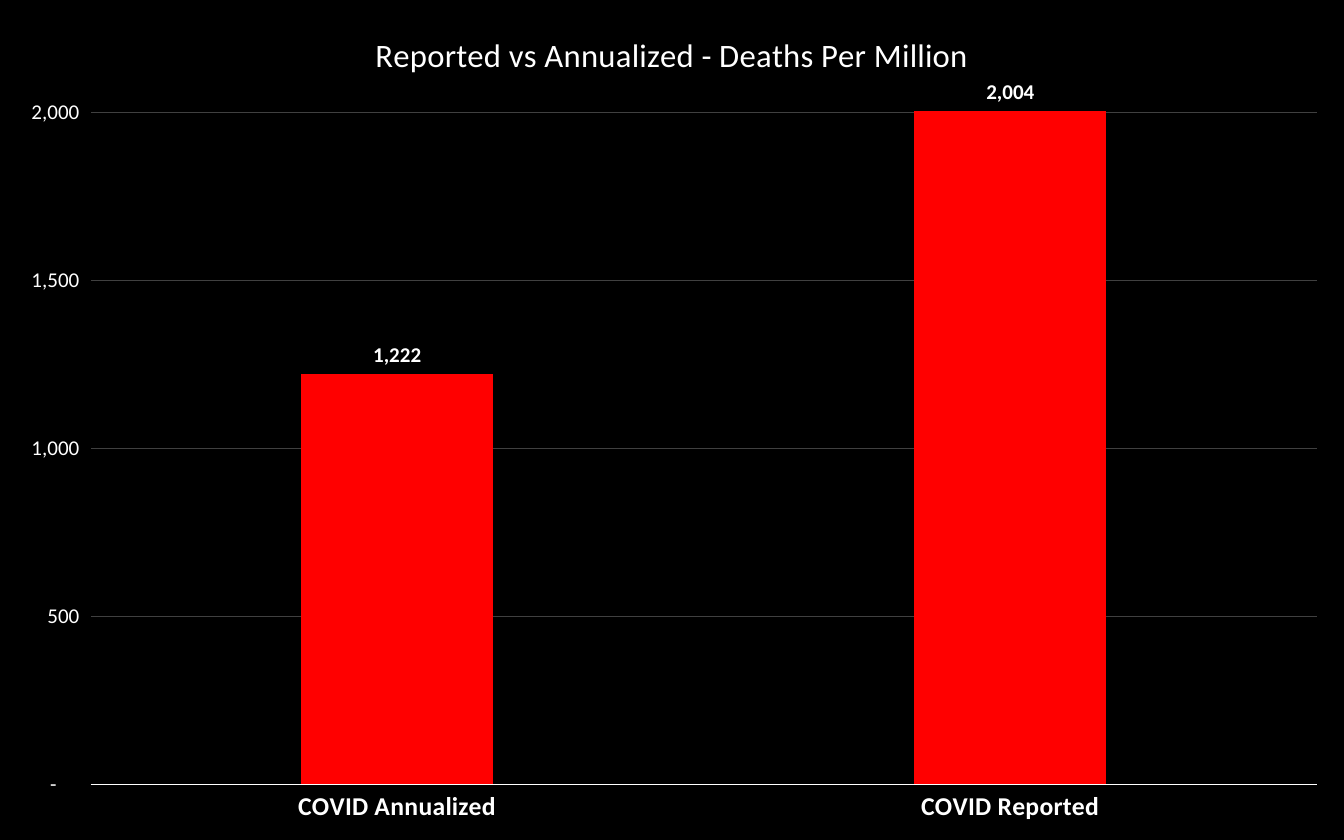
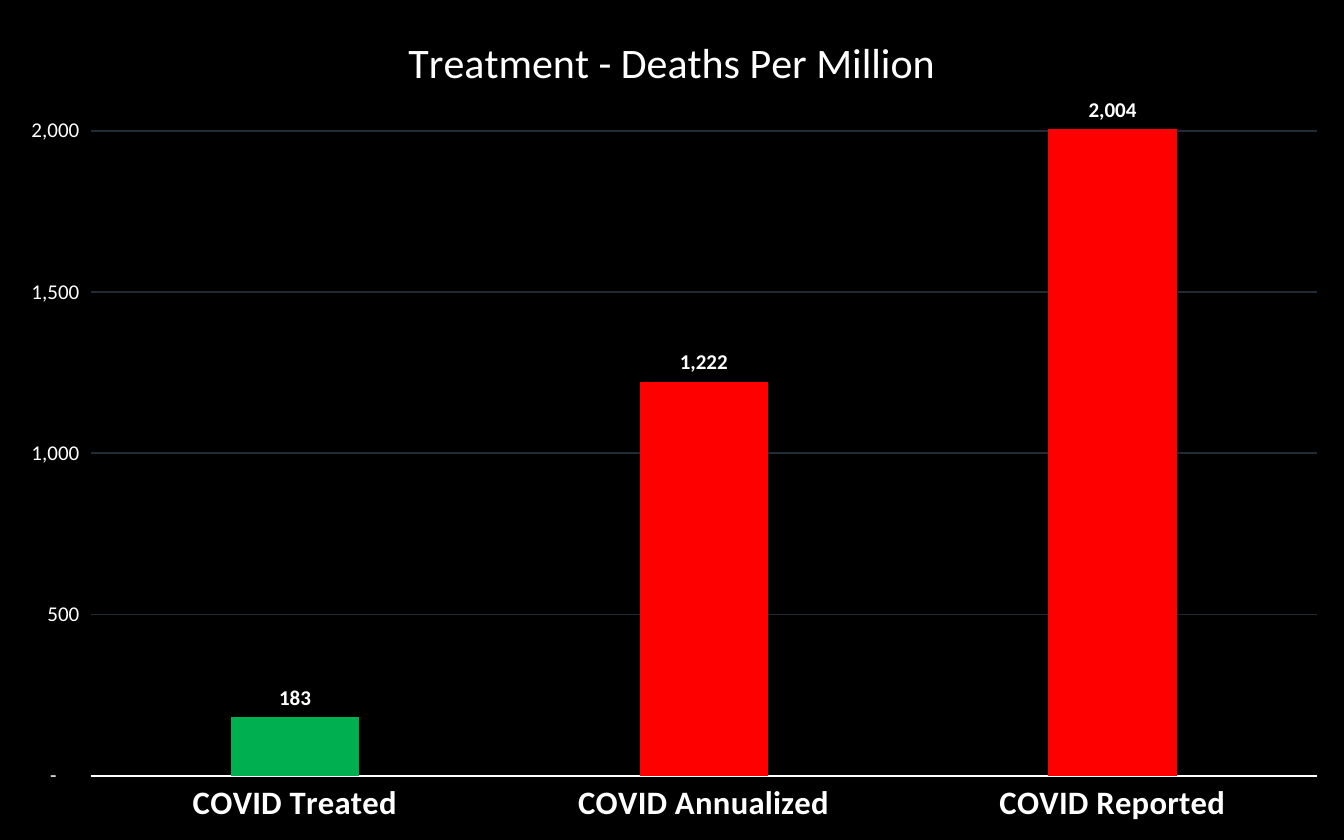
"""Build two slides that compare deaths per million in column charts."""
import pptx
import pptx.chart.data
import pptx.dml.color
import pptx.enum.chart
import pptx.oxml
import pptx.oxml.ns
import pptx.util
from pptx.util import Inches


def color(hex_code):
    return pptx.dml.color.RGBColor.from_string(hex_code)


class Deck:
    FONT = "Calibri"
    BACKGROUND = "000000"
    TEXT = "FFFFFF"
    RED = "FF0000"
    GREEN = "00B050"
    NUMBERS = '_(* #,##0_);_(* \\(#,##0\\);_(* "-"??_);_('
    WIDTH, HEIGHT = Inches(8), Inches(5)

    def __init__(self):
        self.presentation = pptx.Presentation()
        self.presentation.slide_width = self.WIDTH
        self.presentation.slide_height = self.HEIGHT
        self.slide = None

    def add_slide(self):
        blank = self.presentation.slide_layouts[6]
        self.slide = self.presentation.slides.add_slide(blank)
        fill = self.slide.background.fill
        fill.solid()
        fill.fore_color.rgb = color(self.BACKGROUND)

    def style_font(self, font, size, bold=False):
        font.name = self.FONT
        font.size = pptx.util.Pt(size)
        font.bold = bold
        font.color.rgb = color(self.TEXT)

    def style_line(self, line, hex_code):
        line.width = pptx.util.Pt(0.75)
        line.color.rgb = color(hex_code)

    def add_columns(self, title, columns, title_size, category_size, grid, top, height):
        data = pptx.chart.data.CategoryChartData(number_format=self.NUMBERS)
        data.categories = [name for name, _, _ in columns]
        data.add_series("Series 1", [deaths for _, deaths, _ in columns])
        chart = self.slide.shapes.add_chart(
            pptx.enum.chart.XL_CHART_TYPE.COLUMN_CLUSTERED,
            0, 0, self.WIDTH, self.HEIGHT, data).chart
        self.style_font(chart.font, 10)
        chart.has_legend = False
        self.add_title(chart, title, title_size)
        self.style_axes(chart, category_size, grid)
        self.style_columns(chart.plots[0], [fill for _, _, fill in columns])
        self.place_plot(chart, top, height)

    def add_title(self, chart, title, size):
        chart.has_title = True
        chart.chart_title.include_in_layout = False
        heading = chart.chart_title.text_frame.paragraphs[0]
        heading.text = title
        self.style_font(heading.font, size)

    def style_axes(self, chart, category_size, grid):
        names, deaths = chart.category_axis, chart.value_axis
        for axis in (names, deaths):
            axis.major_tick_mark = pptx.enum.chart.XL_TICK_MARK.NONE
            axis.minor_tick_mark = pptx.enum.chart.XL_TICK_MARK.NONE
        self.style_font(names.tick_labels.font, category_size, bold=True)
        self.style_line(names.format.line, self.TEXT)
        self.style_font(deaths.tick_labels.font, 9)
        deaths.tick_labels.number_format = self.NUMBERS
        deaths.tick_labels.number_format_is_linked = False
        deaths.minimum_scale = 0
        deaths.maximum_scale = 2010
        deaths.major_unit = 500
        deaths.format.line.fill.background()
        deaths.has_major_gridlines = True
        self.style_line(deaths.major_gridlines.format.line, grid)

    def style_columns(self, plot, fills):
        plot.gap_width = 219
        plot.overlap = -27
        plot.vary_by_categories = False
        series = plot.series[0]
        series.invert_if_negative = False
        for index, hex_code in enumerate(fills):
            fill = series.points[index].format.fill
            fill.solid()
            fill.fore_color.rgb = color(hex_code)
        labels = series.data_labels
        labels.show_value = True
        labels.position = pptx.enum.chart.XL_LABEL_POSITION.OUTSIDE_END
        labels.number_format = self.NUMBERS
        labels.number_format_is_linked = False
        self.style_font(labels.font, 9, bold=True)

    def place_plot(self, chart, top, height):
        area = chart.plots[0]._element.getparent()
        for layout in area.findall(pptx.oxml.ns.qn("c:layout")):
            area.remove(layout)
        left, width = Inches(0.54), Inches(7.3)
        area.insert(0, pptx.oxml.parse_xml(
            f'<c:layout {pptx.oxml.ns.nsdecls("c")}><c:manualLayout>'
            '<c:layoutTarget val="inner"/>'
            '<c:xMode val="edge"/><c:yMode val="edge"/>'
            f'<c:x val="{left / self.WIDTH}"/><c:y val="{top / self.HEIGHT}"/>'
            f'<c:w val="{width / self.WIDTH}"/><c:h val="{height / self.HEIGHT}"/>'
            '</c:manualLayout></c:layout>'))


deck = Deck()
treated = ("COVID Treated", 183, deck.GREEN)
annualized = ("COVID Annualized", 1222, deck.RED)
reported = ("COVID Reported", 2004, deck.RED)

deck.add_slide()
deck.add_columns("Reported vs Annualized - Deaths Per Million", [annualized, reported],
                 14, 11, "404040", Inches(0.65), Inches(4.02))

deck.add_slide()
deck.add_columns("Treatment - Deaths Per Million", [treated, annualized, reported],
                 18, 14, "222A35", Inches(0.76), Inches(3.86))

deck.presentation.save("out.pptx")
